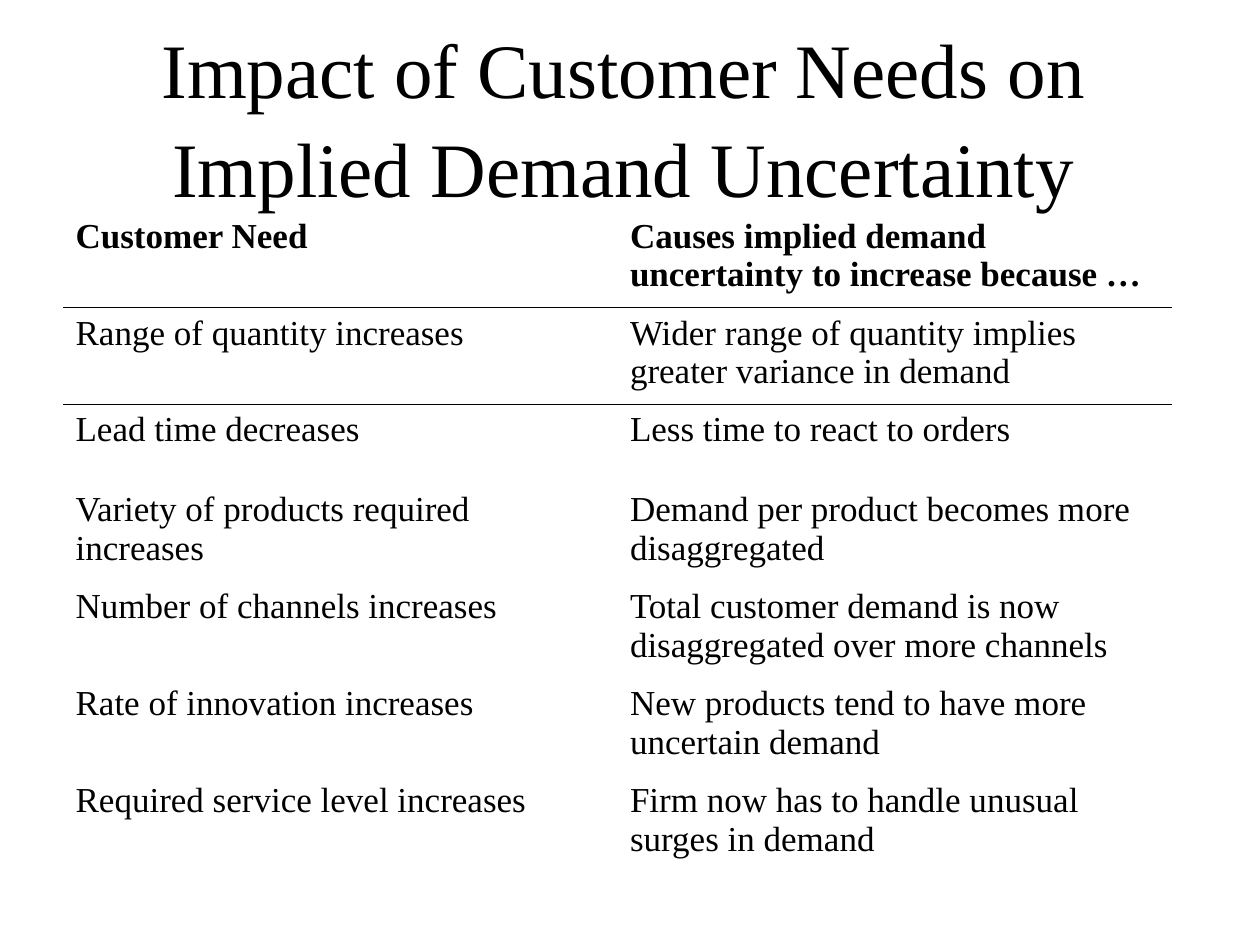
from lxml import etree
from pptx import Presentation
from pptx.dml.color import RGBColor
from pptx.enum.text import MSO_ANCHOR, MSO_AUTO_SIZE, PP_ALIGN
from pptx.oxml.ns import qn
from pptx.util import Inches, Pt

CENTER, LEFT = PP_ALIGN.CENTER, PP_ALIGN.LEFT
MIDDLE, TOP = MSO_ANCHOR.MIDDLE, MSO_ANCHOR.TOP
NO_AUTOFIT = MSO_AUTO_SIZE.NONE
TITLE_ONLY = 5
PLAIN_TABLE_STYLE = "{2D5ABB26-0587-4C30-8999-92F81FD0307C}"

COLORS = {"text": "000000", "rule": "000000", "background": "FFFFFF"}

TITLE = "Impact of Customer Needs on Implied Demand Uncertainty"
NEEDS = [
    ("Customer Need", "Causes implied demand uncertainty to increase because …"),
    ("Range of quantity increases",
     "Wider range of quantity implies greater variance in demand"),
    ("Lead time decreases", "Less time to react to orders"),
    ("Variety of products required increases",
     "Demand per product becomes more disaggregated"),
    ("Number of channels increases",
     "Total customer demand is now disaggregated over more channels"),
    ("Rate of innovation increases",
     "New products tend to have more uncertain demand"),
    ("Required service level increases",
     "Firm now has to handle unusual surges in demand"),
]
ROW_HEIGHT, SHORT_ROW_HEIGHT, SHORT_ROW = 0.77, 0.63, 2


class SlideBuilder:
    """Holds the style and the current slide."""

    font_name = "Times New Roman"
    title_size, body_size = 44, 20
    rule_width = 1.08

    def __init__(self, presentation):
        self.width = presentation.slide_width
        self.height = presentation.slide_height
        layout = presentation.slide_layouts[TITLE_ONLY]
        self.slide = presentation.slides.add_slide(layout)
        fill = self.slide.background.fill
        fill.solid()
        fill.fore_color.rgb = RGBColor.from_string(COLORS["background"])

    def place(self, left, top, width, height):
        """Turn shares of the slide into lengths."""
        return (int(left * self.width), int(top * self.height),
                int(width * self.width), int(height * self.height))

    def add_text(self, paragraph, text, size, align=LEFT, bold=False):
        paragraph.alignment = align
        run = paragraph.add_run()
        run.text = text
        run.font.name = self.font_name
        run.font.size = Pt(size)
        run.font.bold = bold
        run.font.color.rgb = RGBColor.from_string(COLORS["text"])

    def title(self, text, box):
        shape = self.slide.shapes.title
        shape.left, shape.top, shape.width, shape.height = self.place(*box)
        frame = shape.text_frame
        frame.word_wrap = True
        frame.auto_size = NO_AUTOFIT
        frame.vertical_anchor = MIDDLE
        paragraph = frame.paragraphs[0]
        paragraph.line_spacing = 1.08
        self.add_text(paragraph, text, self.title_size, CENTER)

    def border(self, cell, edge):
        line = etree.Element(qn(f"a:{edge}"), w=str(Pt(self.rule_width)))
        fill = etree.SubElement(line, qn("a:solidFill"))
        etree.SubElement(fill, qn("a:srgbClr"), val=COLORS["rule"])
        cell._tc.get_or_add_tcPr().insert(0, line)

    def table(self, rows, box, row_heights):
        frame = self.slide.shapes.add_table(
            len(rows), len(rows[0]), *self.place(*box))
        table = frame.table
        table.horz_banding = False
        table._tbl.tblPr.find(qn("a:tableStyleId")).text = PLAIN_TABLE_STYLE
        for row, height in zip(table.rows, row_heights):
            row.height = Inches(height)
        for row_index, texts in enumerate(rows):
            for column_index, text in enumerate(texts):
                cell = table.cell(row_index, column_index)
                cell.fill.background()
                cell.vertical_anchor = TOP
                self.add_text(cell.text_frame.paragraphs[0], text,
                              self.body_size, bold=row_index == 0)
                # One rule between the header and the body
                if row_index == 0:
                    self.border(cell, "lnB")
                elif row_index == 1:
                    self.border(cell, "lnT")


def main():
    presentation = Presentation()
    presentation.slide_width = Inches(10)
    presentation.slide_height = Inches(7.5)
    builder = SlideBuilder(presentation)

    # Title
    builder.title(TITLE, (0.03, 0.04, 0.93, 0.16))

    # Customer needs and their effects
    heights = [SHORT_ROW_HEIGHT if index == SHORT_ROW else ROW_HEIGHT
               for index in range(len(NEEDS))]
    builder.table(NEEDS, (0.05, 1.67 / 7.5, 0.88, 0.7), heights)

    presentation.save("out.pptx")


if __name__ == "__main__":
    main()
